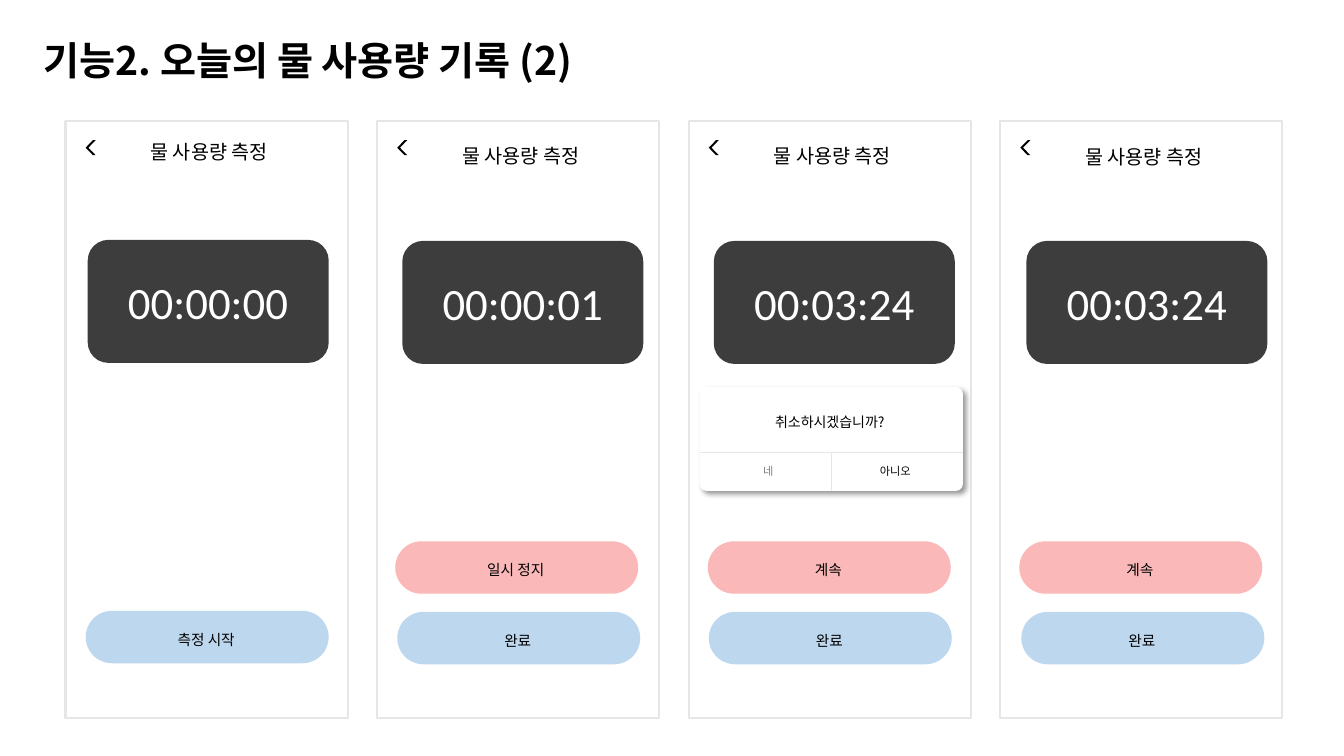
"""Builds the slide with four phone screens of the water usage timer."""
from lxml.etree import SubElement
from pptx import Presentation
from pptx.dml.color import RGBColor as RGB
from pptx.enum.shapes import MSO_CONNECTOR as CONN, MSO_SHAPE as SHAPE
from pptx.enum.text import MSO_ANCHOR as ANCHOR, MSO_AUTO_SIZE as FIT, PP_ALIGN as ALIGN
from pptx.oxml import parse_xml
from pptx.oxml.ns import nsdecls, qn
from pptx.util import Inches, Pt

KR, LATIN = "Noto Sans CJK KR", "Calibri"
THEME = {
    "black": "000000", "white": "FFFFFF", "muted": "808080",
    "frame": "E7E6E6", "done": "BDD7EE", "pause": "FAB8B8",
    "title": {"name": KR, "size": Pt(28), "bold": True},
    "heading": {"name": KR, "size": Pt(14)},
    "button": {"name": KR, "size": Pt(10.5)},
    "question": {"name": KR, "size": Pt(10)},
    "answer": {"name": KR, "size": Pt(8)},
    "timer": {"name": LATIN, "size": Pt(32)},
}
GROWING = {"word_wrap": True, "auto_size": FIT.SHAPE_TO_FIT_TEXT}
MIDDLE = {"vertical_anchor": ANCHOR.MIDDLE}
SPACED = {"alignment": ALIGN.CENTER, "line_spacing": 1.2}

prs = Presentation()
prs.slide_width, prs.slide_height = Inches(13.33), Inches(7.5)
COL, ROW = prs.slide_width // 1333, prs.slide_height // 750
s = prs.slides.add_slide(prs.slide_layouts[5])


def draw(kind, col, row, cols, rows, fill=None, adj=None):
    """Places a preset shape, or a text box if kind is None, on the grid."""
    box = (int(col * COL), int(row * ROW), int(cols * COL), int(rows * ROW))
    if kind is None:
        return s.shapes.add_textbox(*box)
    sp = s.shapes.add_shape(kind, *box)
    sp.shadow.inherit = False
    sp.line.fill.background()
    if fill:
        sp.fill.solid()
        sp.fill.fore_color.rgb = RGB.from_string(THEME[fill])
    else:
        sp.fill.background()
    if adj is not None:
        sp.adjustments[0] = adj
    return sp


def write(sp, text, style, color, frame, para):
    """Writes one formatted paragraph into a shape."""
    tf = sp.text_frame
    p = tf.paragraphs[0]
    r = p.add_run()
    r.text = text
    for target, values in ((tf, frame), (p, para), (r.font, THEME[style])):
        for name, value in values.items():
            setattr(target, name, value)
    r.font.color.rgb = RGB.from_string(THEME[color])
    SubElement(r._r.get_or_add_rPr(), qn("a:ea")).set("typeface", r.font.name)


title = s.shapes.title
title.left, title.top, title.width, title.height = 33 * COL, 22 * ROW, 734 * COL, 63 * ROW
write(title, "기능2. 오늘의 물 사용량 기록 (2)", "title", "black",
      GROWING | {"vertical_anchor": ANCHOR.TOP}, {"alignment": ALIGN.LEFT, "line_spacing": 1.2})

LEFT, PITCH = 65, 309
DONE_ROW, PAUSE_ROW = 607, 537
SCREENS = [
    ("00:00:00", 22, 129, [("측정 시작", "done", 20, DONE_ROW - 1)]),
    ("00:00:01", 25, 133, [("일시 정지", "pause", 18, PAUSE_ROW), ("완료", "done", 20, DONE_ROW)]),
    ("00:03:24", 25, 133, [("계속", "pause", 19, PAUSE_ROW), ("완료", "done", 20, DONE_ROW)]),
    ("00:03:24", 26, 134, [("계속", "pause", 19, PAUSE_ROW), ("완료", "done", 21, DONE_ROW)]),
]

for i, (time, timer_col, heading_row, buttons) in enumerate(SCREENS):
    x = LEFT + i * PITCH
    phone = draw(SHAPE.RECTANGLE, x, 120, 280, 592)
    phone.line.color.rgb = RGB.from_string(THEME["frame"])
    phone.line.width = Pt(1.5)

    back = draw(SHAPE.CHEVRON, x + 20, 139, 10, 15, "black", 0.725)
    back._element.spPr.xfrm.set("flipH", "1")
    heading = draw(None, x + 22, heading_row, 241, 36)
    write(heading, "물 사용량 측정", "heading", "black", GROWING, SPACED)

    timer = draw(SHAPE.ROUNDED_RECTANGLE, x + timer_col, 238 + (i > 0), 239, 122, "black")
    tint = timer._element.spPr.find(".//" + qn("a:srgbClr"))
    SubElement(tint, qn("a:alpha")).set("val", "76000")
    write(timer, time, "timer", "white", MIDDLE, {"alignment": ALIGN.CENTER})

    for text, fill, col, row in buttons:
        draw(SHAPE.ROUNDED_RECTANGLE, x + col, row, 241, 52, fill, 0.5)
        label = draw(None, x + col + 37, row + 11.5, 165, 30)
        write(label, text, "button", "black", GROWING, SPACED)

dialog = draw(SHAPE.ROUNDED_RECTANGLE, 694, 384, 261, 103, "white", 0.066)
spPr = dialog._element.spPr
spPr.remove(spPr.find(qn("a:effectLst")))
spPr.append(parse_xml(
    f'<a:effectLst {nsdecls("a")}><a:outerShdw blurRad="{Pt(4)}" dist="{Pt(3)}" dir="2700000" '
    'algn="tl" rotWithShape="0"><a:srgbClr val="000000"><a:alpha val="40000"/></a:srgbClr>'
    '</a:outerShdw></a:effectLst>'))

across = s.shapes.add_connector(CONN.STRAIGHT, 694 * COL, 449 * ROW, 955 * COL, 449 * ROW)
split = s.shapes.add_connector(CONN.STRAIGHT, int(824.5 * COL), 487 * ROW,
                               int(824.5 * COL), 449 * ROW)
split.begin_connect(dialog, 2)
for divider in (across, split):
    divider.line.color.rgb = RGB.from_string(THEME["frame"])
    divider.line.width = Pt(0.9)
    SubElement(divider._element.spPr, qn("a:effectLst"))

for text, style, color, box in [
    ("취소하시겠습니까?", "question", "black", (711, 405, 224, 27)),
    ("네", "answer", "muted", (734, 455, 56, 24)),
    ("아니오", "answer", "black", (860, 455, 56, 24)),
]:
    write(draw(None, *box), text, style, color, GROWING | MIDDLE, {"alignment": ALIGN.CENTER})

prs.save("out.pptx")
